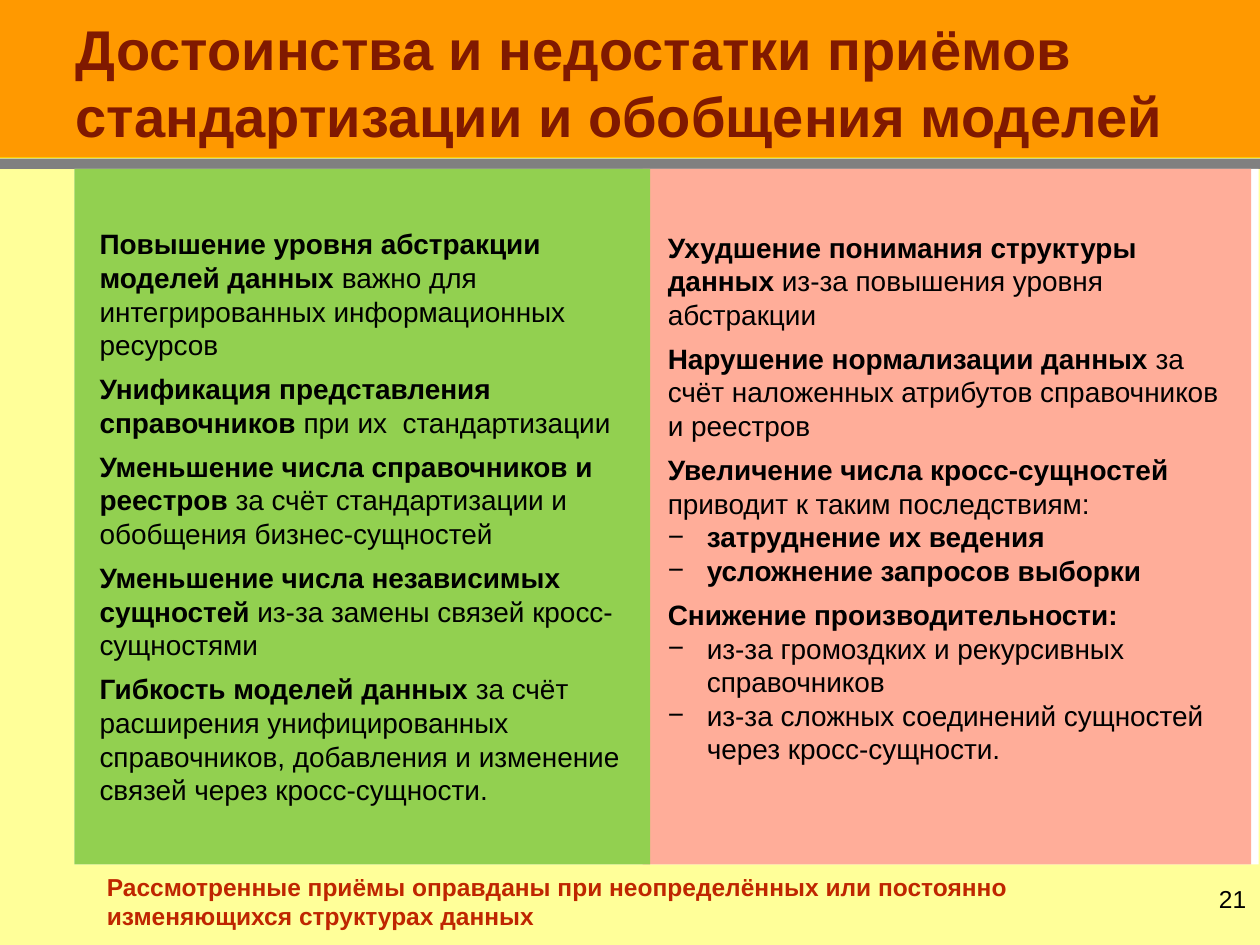
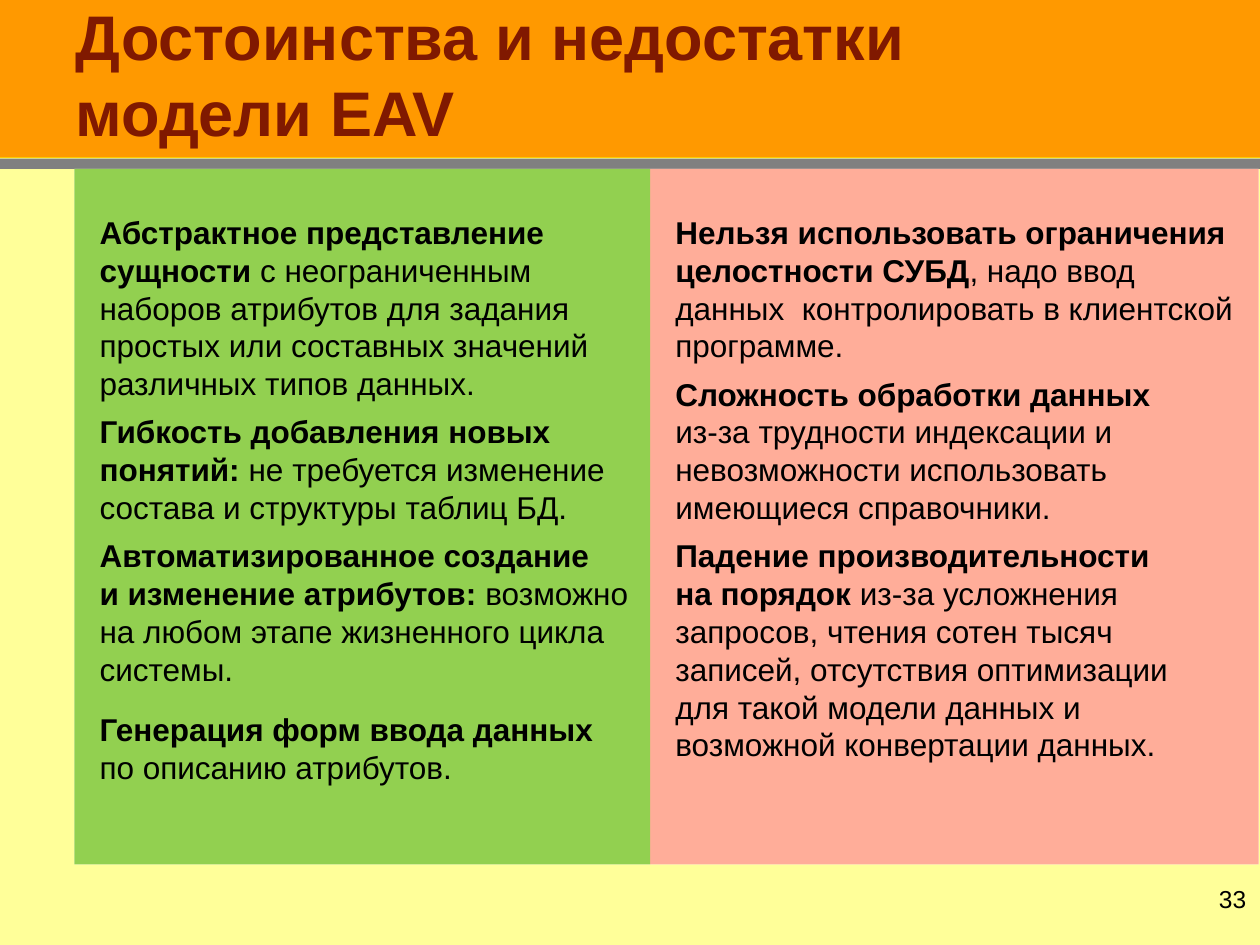
from dataclasses import dataclass

from lxml import etree
from pptx import Presentation, util as u
from pptx.dml.color import RGBColor
from pptx.enum import shapes, text
from pptx.oxml import ns


@dataclass(frozen=True)
class Theme:
    font: str = "Arial"
    leading: float = 1.2
    gap: int = 6
    note_size: int = 14
    backdrop: str = "B2B2B2"
    header: str = "FF9900"
    page: str = "FFFF99"
    band: str = "808080"
    rule: str = "FFCC00"
    title: str = "801900"
    ink: str = "000000"
    note: str = "BF2600"
    base: str = "FFFFFF"
    pros: str = "92D050"
    cons: str = "FFAD99"


@dataclass(frozen=True)
class Item:
    bold: str = ""
    plain: str = ""
    before: int = Theme.gap
    bullet: bool = False


def color(value):
    return RGBColor.from_string(value)


def place(sp, left, top, width, height):
    sp.left, sp.top = u.Inches(left), u.Inches(top)
    sp.width, sp.height = u.Inches(width), u.Inches(height)


def indent(p, left, first=0.0):
    pPr = p._p.get_or_add_pPr()
    pPr.set("marL", str(u.Inches(left)))
    pPr.set("indent", str(u.Inches(first)))
    return pPr


class Deck:
    def __init__(self, theme):
        self.theme = theme
        self.prs = Presentation()
        self.prs.slide_width, self.prs.slide_height = u.Inches(10), u.Inches(7.5)
        self.s = None

    def slide(self, title, size, top, number):
        t = self.theme
        self.s = self.prs.slides.add_slide(self.prs.slide_layouts[3])
        fill = self.s.background.fill
        fill.solid()
        fill.fore_color.rgb = color(t.backdrop)
        self.rect(t.header, 0, 0, 10, 1.25)
        self.rect(t.page, 0, 1.25, 10, 6.25)
        self.rect(t.band, 0, 1.26, 10, 0.08)
        self.line(t.rule, 0, 1.25, 10, 1.25)
        self.textbox(number, t.ink, 7.66, 6.97, 2.33, 0.52, align=text.PP_ALIGN.RIGHT)
        self.title(title, size, top)
        self.rect(t.base, 0.59, 1.34, 9.4, 5.52)

    def rect(self, fill, left, top, width, height):
        sp = self.s.shapes.add_shape(
            shapes.MSO_SHAPE.RECTANGLE, *map(u.Inches, (left, top, width, height)))
        sp.shadow.inherit = False
        sp.fill.solid()
        sp.fill.fore_color.rgb = color(fill)
        sp.line.fill.background()

    def line(self, stroke, x1, y1, x2, y2):
        sp = self.s.shapes.add_connector(
            shapes.MSO_CONNECTOR.STRAIGHT, *map(u.Inches, (x1, y1, x2, y2)))
        sp.line.color.rgb = color(stroke)
        sp.line.width = u.Pt(1)
        etree.SubElement(sp._element.spPr, ns.qn("a:effectLst"))

    def style(self, p, size, ink):
        p.line_spacing = u.Pt(size * self.theme.leading)
        for r in p.runs:
            r.font.name = self.theme.font
            r.font.size = u.Pt(size)
            r.font.color.rgb = color(ink)

    def textbox(self, content, ink, left, top, width, height,
                bold=False, align=text.PP_ALIGN.LEFT):
        sp = self.s.shapes.add_textbox(*map(u.Inches, (left, top, width, height)))
        tf = sp.text_frame
        tf.word_wrap = True
        p = tf.paragraphs[0]
        p.text = content
        p.alignment = align
        self.style(p, self.theme.note_size, ink)
        for r in p.runs:
            r.font.bold = bold

    def raise_placeholder(self, sp):
        self.s.shapes._spTree.append(sp._element)
        sp.text_frame.auto_size = text.MSO_AUTO_SIZE.NONE
        sp.text_frame.word_wrap = True

    def title(self, content, size, top):
        sp = self.s.shapes.title
        self.raise_placeholder(sp)
        place(sp, 0, top, 9.99, 1.23 - top)
        tf = sp.text_frame
        tf.vertical_anchor = text.MSO_ANCHOR.BOTTOM
        p = tf.paragraphs[0]
        p.text = content
        p.alignment = text.PP_ALIGN.LEFT
        indent(p, 0.5)
        self.style(p, size, self.theme.title)
        for r in p.runs:
            r.font.bold = True

    def panel(self, idx, fill, items, size, left, width,
              anchor=text.MSO_ANCHOR.MIDDLE, inset_top=0.05, inset_bottom=0.05):
        sp = self.s.placeholders[idx]
        self.raise_placeholder(sp)
        place(sp, left, 1.34, width, 5.52)
        sp.fill.solid()
        sp.fill.fore_color.rgb = color(fill)
        tf = sp.text_frame
        tf.vertical_anchor = anchor
        tf.margin_top, tf.margin_bottom = u.Inches(inset_top), u.Inches(inset_bottom)
        for n, item in enumerate(items):
            p = tf.add_paragraph() if n else tf.paragraphs[0]
            self.item(p, item, size, item.before if n else 0)

    def item(self, p, item, size, before):
        p.text = item.bold
        for r in p.runs:
            r.font.bold = True
        for n, part in enumerate(item.plain.split("\n")):
            if n:
                p.add_line_break()
            if part:
                r = p.add_run()
                r.text = part
                r.font.bold = False
        p.alignment = text.PP_ALIGN.LEFT
        p.space_before, p.space_after = u.Pt(before), u.Pt(0)
        self.style(p, size, self.theme.ink)
        if item.bullet:
            pPr = indent(p, 0.41, -0.31)
            etree.SubElement(pPr, ns.qn("a:buFont")).set("typeface", self.theme.font)
            etree.SubElement(pPr, ns.qn("a:buChar")).set("char", "−")
        else:
            etree.SubElement(indent(p, 0.1), ns.qn("a:buNone"))


def generalization_slide(deck):
    t = deck.theme
    deck.slide("Достоинства и недостатки приёмов стандартизации и обобщения моделей",
               32, 0.05, "21")
    deck.panel(2, t.cons, [
        Item("Ухудшение понимания структуры данных ", "из-за повышения уровня абстракции"),
        Item("Нарушение нормализации данных ",
             "за счёт наложенных атрибутов справочников и реестров"),
        Item("Увеличение числа кросс-сущностей ", "приводит к таким последствиям:"),
        Item("затруднение их ведения", before=0, bullet=True),
        Item("усложнение запросов выборки", before=0, bullet=True),
        Item("Снижение производительности:"),
        Item(plain="из-за громоздких и рекурсивных справочников", before=0, bullet=True),
        Item(plain="из-за сложных соединений сущностей через кросс-сущности.",
             before=0, bullet=True),
    ], 16, 5.1, 4.83, inset_bottom=0.35)
    deck.panel(1, t.pros, [
        Item("Повышение уровня абстракции моделей данных ",
             "важно для интегрированных информационных ресурсов"),
        Item("Унификация представления справочников ", "при их  стандартизации"),
        Item("Уменьшение числа справочников и реестров ",
             "за счёт стандартизации и обобщения бизнес-сущностей"),
        Item("Уменьшение числа независимых сущностей ",
             "из-за замены связей кросс-сущностями"),
        Item("Гибкость моделей данных ",
             "за счёт расширения унифицированных справочников, "
             "добавления и изменение связей через кросс-сущности."),
    ], 16, 0.59, 4.57)
    deck.textbox("Рассмотренные приёмы оправданы при неопределённых или постоянно "
                 "изменяющихся структурах данных", t.note, 0.75, 6.87, 8.54, 0.57, bold=True)


def eav_slide(deck):
    t = deck.theme
    deck.slide("Достоинства и недостатки \nмодели EAV", 36, -0.08, "33")
    top = {"anchor": text.MSO_ANCHOR.TOP, "inset_top": 0.35}
    deck.panel(2, t.cons, [
        Item("Нельзя использовать ограничения целостности СУБД",
             ", надо ввод данных  контролировать в клиентской программе."),
        Item("Сложность обработки данных"),
        Item(plain="из-за трудности индексации и", before=0),
        Item(plain="невозможности использовать имеющиеся справочники.", before=0),
        Item("Падение производительности \nна порядок ",
             "из-за усложнения запросов, чтения сотен тысяч записей, "
             "отсутствия оптимизации \nдля такой модели данных и "
             "возможной конвертации данных."),
    ], 18, 5.16, 4.83, **top)
    deck.panel(1, t.pros, [
        Item("Абстрактное представление сущности",
             " c неограниченным наборов атрибутов для задания простых "
             "или составных значений различных типов данных."),
        Item("Гибкость добавления новых понятий: ",
             "не требуется изменение состава и структуры таблиц БД."),
        Item("Автоматизированное создание \nи изменение атрибутов: ",
             "возможно на любом этапе жизненного цикла системы."),
        Item("Генерация форм ввода данных", " \nпо описанию атрибутов.", before=13),
    ], 18, 0.59, 4.57, **top)


def main():
    deck = Deck(Theme())
    generalization_slide(deck)
    eav_slide(deck)
    deck.prs.save("out.pptx")


if __name__ == "__main__":
    main()
